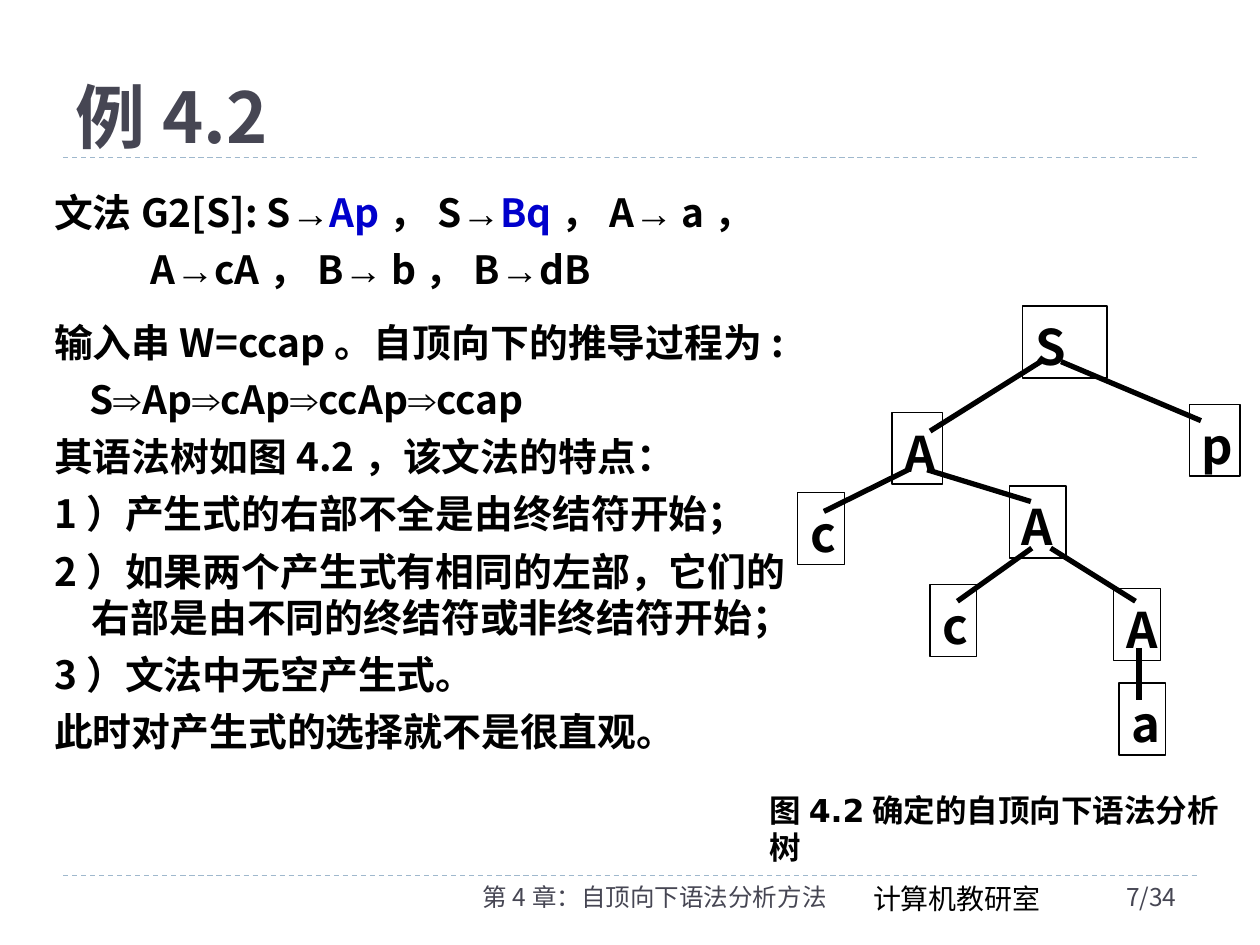
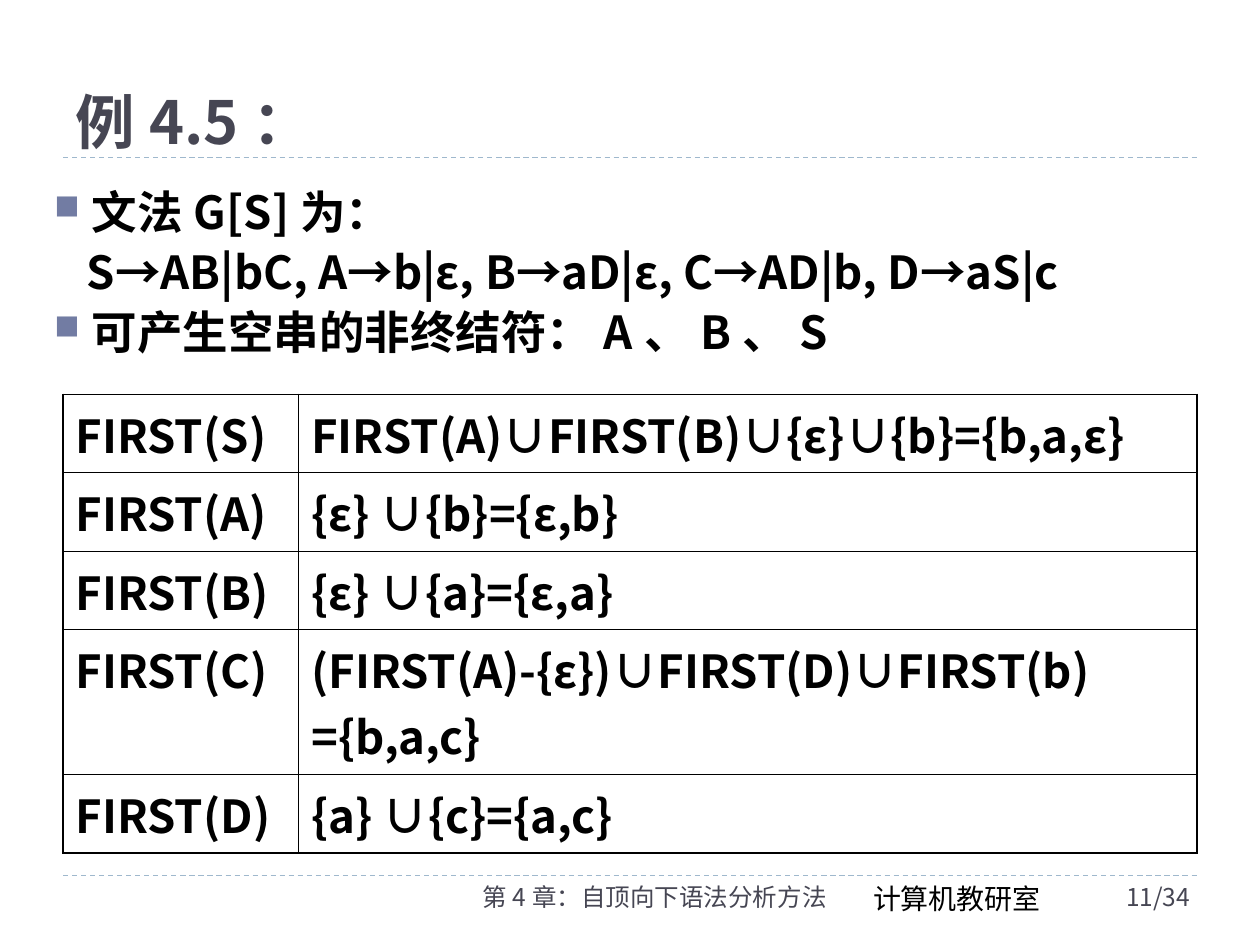
"""Build two slides on top-down parsing: a syntax tree and FIRST sets."""
import dataclasses
import itertools

import lxml.etree
import pptx
import pptx.dml.color
import pptx.enum.dml
import pptx.enum.shapes
import pptx.enum.text
import pptx.oxml.ns
import pptx.util

Cm, Pt = pptx.util.Cm, pptx.util.Pt
Align = pptx.enum.text.PP_ALIGN
Anchor = pptx.enum.text.MSO_ANCHOR
qn = pptx.oxml.ns.qn

BLACK, GRAY, BLUE = "000000", "464653", "0000CC"
RULE, BULLET = "9FB8CD", "727CA3"
MAIN, FOOT = "Noto Sans CJK SC", "Noto Sans CJK JP"
ARROWS = "→⇒"
HANG = 0.76
NODE_HIGH = 1.45

NODES = [
    ("S", 20.62, 6.17, 1.7), ("A", 17.98, 8.31, 1.02), ("p", 23.98, 8.15, 1.02),
    ("c", 16.08, 9.93, 0.94), ("A", 20.35, 9.8, 1.14), ("c", 18.75, 11.79, 0.94),
    ("A", 22.45, 11.86, 0.94), ("a", 22.56, 13.77, 0.94),
]
EDGES = [
    (20.98, 7.29, 18.75, 8.69), (21.39, 7.29, 24.21, 8.48),
    (18.31, 9.47, 16.61, 10.31), (18.69, 9.47, 20.78, 10.11),
    (20.8, 11.05, 19.3, 12.12), (21.18, 11.05, 22.89, 12.12),
    (22.96, 13.06, 22.96, 14.12),
]
FIRSTS = [
    ("FIRST(S)", "FIRST(A)∪FIRST(B)∪{ε}∪{b}={b,a,ε}", 1.58),
    ("FIRST(A)", "{ε} ∪{b}={ε,b}", 1.58),
    ("FIRST(B)", "{ε} ∪{a}={ε,a}", 1.58),
    ("FIRST(C)", "(FIRST(A)-{ε})∪FIRST(D)∪FIRST(b) ={b,a,c}", 2.92),
    ("FIRST(D)", "{a} ∪{c}={a,c}", 1.58),
]


@dataclasses.dataclass
class Para:
    """A paragraph: (text, colour) runs, indents in cm and space before in points."""
    runs: list
    left: float = 0
    first: float = 0
    before: float = 0
    bullet: bool = False


def para(text, **kind):
    """Make a paragraph of one black run."""
    return Para([(text, BLACK)], **kind)


def hue(code):
    """Turn a hex string into a colour."""
    return pptx.dml.color.RGBColor.from_string(code)


def sub(parent, tag, **attrs):
    """Add a drawing element to a parent."""
    return lxml.etree.SubElement(parent, qn(tag), attrs)


def add_run(line, text, size, font, color, bold):
    """Add one run, with its font set for Latin and Chinese."""
    run = line.add_run()
    run.text = text
    run.font.size, run.font.bold, run.font.name = Pt(size), bold, font
    run.font.color.rgb = hue(color)
    sub(run.font._element, "a:ea", typeface=font)


def indent(line, item):
    """Set the indents and the bullet of a paragraph."""
    props = line._p.get_or_add_pPr()
    props.set("marL", str(Cm(item.left)))
    props.set("indent", str(Cm(item.first)))
    if item.bullet:
        sub(sub(props, "a:buClr"), "a:srgbClr", val=BULLET)
        sub(props, "a:buSzPct", val="76000")
        sub(props, "a:buChar", char="■")
    else:
        sub(props, "a:buNone")


def write(frame, text, size=26, font=MAIN, color=BLACK, bold=True,
          align=Align.LEFT, leading=None, arrow=None):
    """Fill a text frame from a string or a list of paragraphs."""
    items = [Para([(text, color)])] if isinstance(text, str) else text
    for spot, item in enumerate(items):
        line = frame.add_paragraph() if spot else frame.paragraphs[0]
        indent(line, item)
        line.alignment = align
        if item.before:
            line.space_before = Pt(item.before)
        if leading:
            line.line_spacing = Pt(leading * size)
        for words, tint in item.runs:
            for is_arrow, chars in itertools.groupby(words, lambda c: c in ARROWS):
                face = arrow if arrow and is_arrow else font
                add_run(line, "".join(chars), size, face, tint, bold)


def set_frame(frame, size, anchor=Anchor.TOP):
    """Set the margins, shifting the text down in step with its size."""
    shift = Pt(0.09 * size)
    frame.word_wrap = True
    frame.vertical_anchor = anchor
    frame.margin_left = frame.margin_right = Cm(0.25)
    frame.margin_top = Cm(0.13) + shift
    frame.margin_bottom = max(0, Cm(0.13) - shift)


def add_text(slide, text, at, size, anchor=Anchor.TOP, leading=1.2, **form):
    """Add a text box."""
    frame = slide.shapes.add_textbox(*map(Cm, at)).text_frame
    set_frame(frame, size, anchor)
    write(frame, text, size, leading=leading, **form)


def add_line(slide, ends, color=BLACK, width=3, dash=None):
    """Add a straight line without a shadow."""
    kind = pptx.enum.shapes.MSO_CONNECTOR.STRAIGHT
    line = slide.shapes.add_connector(kind, *map(Cm, ends))
    sub(line._element.spPr, "a:effectLst")
    line.line.color.rgb = hue(color)
    line.line.width = Pt(width)
    if dash:
        line.line.dash_style = dash


def add_node(slide, label, left, top, wide):
    """Add a boxed symbol of the syntax tree."""
    kind = pptx.enum.shapes.MSO_SHAPE.RECTANGLE
    box = slide.shapes.add_shape(kind, *map(Cm, (left, top, wide, NODE_HIGH)))
    box.shadow.inherit = False
    box.fill.background()
    box.line.color.rgb = hue(BLACK)
    box.line.width = Pt(0.75)
    set_frame(box.text_frame, 28)
    write(box.text_frame, label, 28, leading=1.2)


def add_edge(cell, side, width):
    """Draw one border of a table cell."""
    line = sub(cell._tc.get_or_add_tcPr(), "a:ln" + side, w=str(Pt(width)))
    sub(sub(line, "a:solidFill"), "a:srgbClr", val=BLACK)


def add_grid(slide, rows, at, wides):
    """Add a table with a thick frame and thin inner lines."""
    high = sum(row[-1] for row in rows)
    size = len(rows), len(wides)
    grid = slide.shapes.add_table(*size, *map(Cm, (*at, sum(wides), high))).table
    grid.first_row = grid.horz_banding = False
    for col, wide in zip(grid.columns, wides):
        col.width = Cm(wide)
    for r, (*texts, tall) in enumerate(rows):
        grid.rows[r].height = Cm(tall)
        for c, text in enumerate(texts):
            cell = grid.cell(r, c)
            outer = {"L": c == 0, "R": c == size[1] - 1,
                     "T": r == 0, "B": r == size[0] - 1}
            for side, thick in outer.items():
                add_edge(cell, side, 1.08 if thick else 0.45)
            cell.fill.background()
            write(cell.text_frame, text)


def add_slide(deck, title, size, page):
    """Add a slide with its title, dashed rules and footer."""
    slide = deck.slides.add_slide(deck.slide_layouts[6])
    for y in (17.65, 3.18):
        add_line(slide, (1.27, y, 24.13, y), RULE, 0.75,
                 pptx.enum.dml.MSO_LINE.DASH)
    add_text(slide, title, (1.27, 0.43, 18.8, 2.75), size,
             anchor=Anchor.BOTTOM, color=GRAY)
    foot = dict(font=FOOT, bold=False)
    add_text(slide, "第4章：自顶向下语法分析方法", (7.19, 17.6, 9.73, 1.02), 14,
             color=GRAY, align=Align.RIGHT, **foot)
    add_text(slide, "计算机教研室", (17.35, 17.6, 4.22, 0.94), 16, **foot)
    add_text(slide, page, (22.45, 17.6, 2.74, 1.02), 14, color=GRAY, **foot)
    return slide


def add_tree(slide):
    """Draw the syntax tree and its caption."""
    for node in NODES:
        add_node(slide, *node)
    for ends in EDGES:
        add_line(slide, ends)
    add_text(slide, "图4.2确定的自顶向下语法分析树", (15.27, 15.75, 9.96, 1.02), 18,
             font="DejaVu Sans")


def main():
    """Build and save the deck."""
    deck = pptx.Presentation()
    deck.slide_width, deck.slide_height = Cm(25.4), Cm(19.05)

    slide = add_slide(deck, "例4.2", 40, "7/34")
    hang = dict(left=HANG, first=-HANG)
    rules = [("文法G2[S]: S→", BLACK), ("Ap", BLUE), ("，S→", BLACK),
             ("Bq", BLUE), ("，A→ a，", BLACK)]
    notes = ["其语法树如图4.2，该文法的特点：",
             "1）产生式的右部不全是由终结符开始；",
             "2）如果两个产生式有相同的左部，它们的右部是由不同的终结符或非终结符开始；",
             "3）文法中无空产生式。",
             "此时对产生式的选择就不是很直观。"]
    body = [Para(rules, **hang),
            para("A→cA，B→ b，B→dB", left=1.95, before=6),
            para("输入串W=ccap。自顶向下的推导过程为:", before=15, **hang),
            para("S⇒Ap⇒cAp⇒ccAp⇒ccap", left=0.72, before=6)]
    body += [para(note, before=6, **hang) for note in notes]
    add_text(slide, body, (0.84, 3.61, 15.67, 13.54), 22.2, arrow="Arial")
    add_tree(slide)

    slide = add_slide(deck, "例4.5：", 34, "11/34")
    add_grid(slide, FIRSTS, (1.27, 7.95), (4.75, 18.11))
    body = [para("文法G[S]为：", bullet=True, **hang),
            para("S→AB|bC, A→b|ε, B→aD|ε, C→AD|b, D→aS|c", left=0.66, before=6),
            para("可产生空串的非终结符：A、B、S", bullet=True, before=6, **hang)]
    add_text(slide, body, (0.84, 3.61, 23.5, 3.81), 26, leading=1.08)

    deck.save("out.pptx")


if __name__ == "__main__":
    main()
